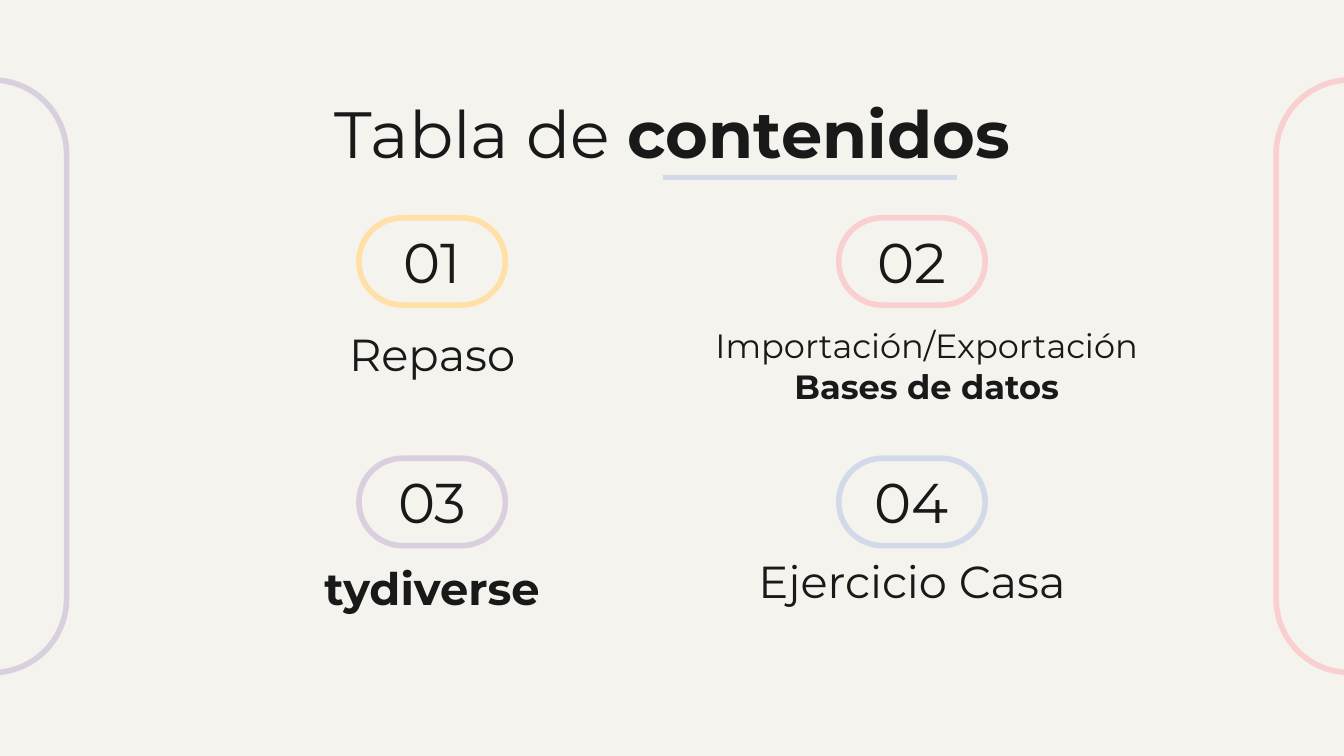
import pptx
import pptx.util
import pptx.dml.color
import pptx.enum.shapes
import pptx.enum.text
import pptx.oxml

Inches = pptx.util.Inches
COLORS = {
    "paper": "F5F3ED", "ink": "191919", "lilac": "D9CFDE",
    "pink": "F9CFD0", "yellow": "FFE0A7", "blue": "D2DAE9",
}
rgb = {name: pptx.dml.color.RGBColor.from_string(value) for name, value in COLORS.items()}


def add_pill(left, top, width, height, color, rotation=0):
    pill = page.shapes.add_shape(
        pptx.enum.shapes.MSO_SHAPE.ROUNDED_RECTANGLE,
        Inches(left), Inches(top), Inches(width), Inches(height))
    pill.adjustments[0] = 0.5
    pill.rotation = rotation
    pill.shadow.inherit = False
    pill.fill.background()
    pill.line.color.rgb = rgb[color]
    pill.line.width = pptx.util.Pt(3)


def write_text(box, parts, size, anchor):
    """Fill a box with one centred paragraph of (text, bold) parts."""
    frame = box.text_frame
    frame.word_wrap = True
    frame.auto_size = pptx.enum.text.MSO_AUTO_SIZE.NONE
    frame.vertical_anchor = anchor
    frame.margin_left = frame.margin_right = Inches(0.1)
    frame.margin_top = frame.margin_bottom = Inches(0.1)
    para = frame.paragraphs[0]
    para.alignment = pptx.enum.text.PP_ALIGN.CENTER
    for text, bold in parts:
        span = para.add_run()
        span.text = text
        span.font.name = "Montserrat"
        span.font.size = pptx.util.Pt(size)
        span.font.bold = bold
        span.font.color.rgb = rgb["ink"]


# A 16:9 page
deck = pptx.Presentation()
deck.slide_width = Inches(10)
deck.slide_height = deck.slide_width * 9 // 16
page = deck.slides.add_slide(deck.slide_layouts[5])
page.background.fill.solid()
page.background.fill.fore_color.rgb = rgb["paper"]
TOP = pptx.enum.text.MSO_ANCHOR.TOP
BOTTOM = pptx.enum.text.MSO_ANCHOR.BOTTOM

# Side frames, running off both edges
for left, color in ((-2.26, "lilac"), (7.84, "pink")):
    add_pill(left, 2.25, 4.41, 1.1, color, rotation=90)

# Title and its underline
title = page.shapes.title
title.left, title.top = Inches(0.79), Inches(0.59)
title.width, title.height = Inches(8.43), Inches(0.63)
write_text(title, [("Tabla de ", False), ("contenidos", True)], 35, TOP)

underline = page.shapes.add_connector(
    pptx.enum.shapes.MSO_CONNECTOR.STRAIGHT,
    Inches(4.93), Inches(1.32), Inches(7.12), Inches(1.32))
underline.line.color.rgb = rgb["blue"]
underline.line.width = pptx.util.Pt(3)
underline._element.spPr.append(pptx.oxml.parse_xml(
    '<a:effectLst xmlns:a="http://schemas.openxmlformats.org/drawingml/2006/main"/>'))

# Contents: two columns by two rows of numbered pills with a label below
FIRST_LEFT, COLUMN_STEP = 2.67, 3.57
FIRST_TOP, ROW_STEP = 1.62, 1.79
PILL_WIDTH, PILL_HEIGHT = 1.09, 0.65
# Each entry: pill colour, label parts, size, label centre shift, top, width, height
entries = [
    ("yellow", [("Repaso", False)], 24, 0, 2.35, 3.1, 0.58),
    ("pink", [("Importación/Exportación ", False), ("Bases de datos", True)],
     18, 0.11, 2.46, 3.69, 0.66),
    ("lilac", [("tydiverse", True)], 24, 0, 4.09, 3.1, 0.58),
    ("blue", [("Ejercicio Casa", False)], 24, 0, 4.04, 3.1, 0.58),
]
for index, (color, parts, size, shift, label_top, width, height) in enumerate(entries):
    row, column = divmod(index, 2)
    left = FIRST_LEFT + column * COLUMN_STEP
    top = FIRST_TOP + row * ROW_STEP
    center = left + PILL_WIDTH / 2
    add_pill(left, top, PILL_WIDTH, PILL_HEIGHT, color)

    number = page.shapes.add_textbox(
        Inches(left + 0.16), Inches(top - 0.03), Inches(0.77), Inches(PILL_HEIGHT))
    write_text(number, [(f"{index + 1:02d}", False)], 30, TOP)

    label = page.shapes.add_textbox(
        Inches(center + shift - width / 2), Inches(label_top), Inches(width), Inches(height))
    write_text(label, parts, size, BOTTOM)

deck.save("out.pptx")
